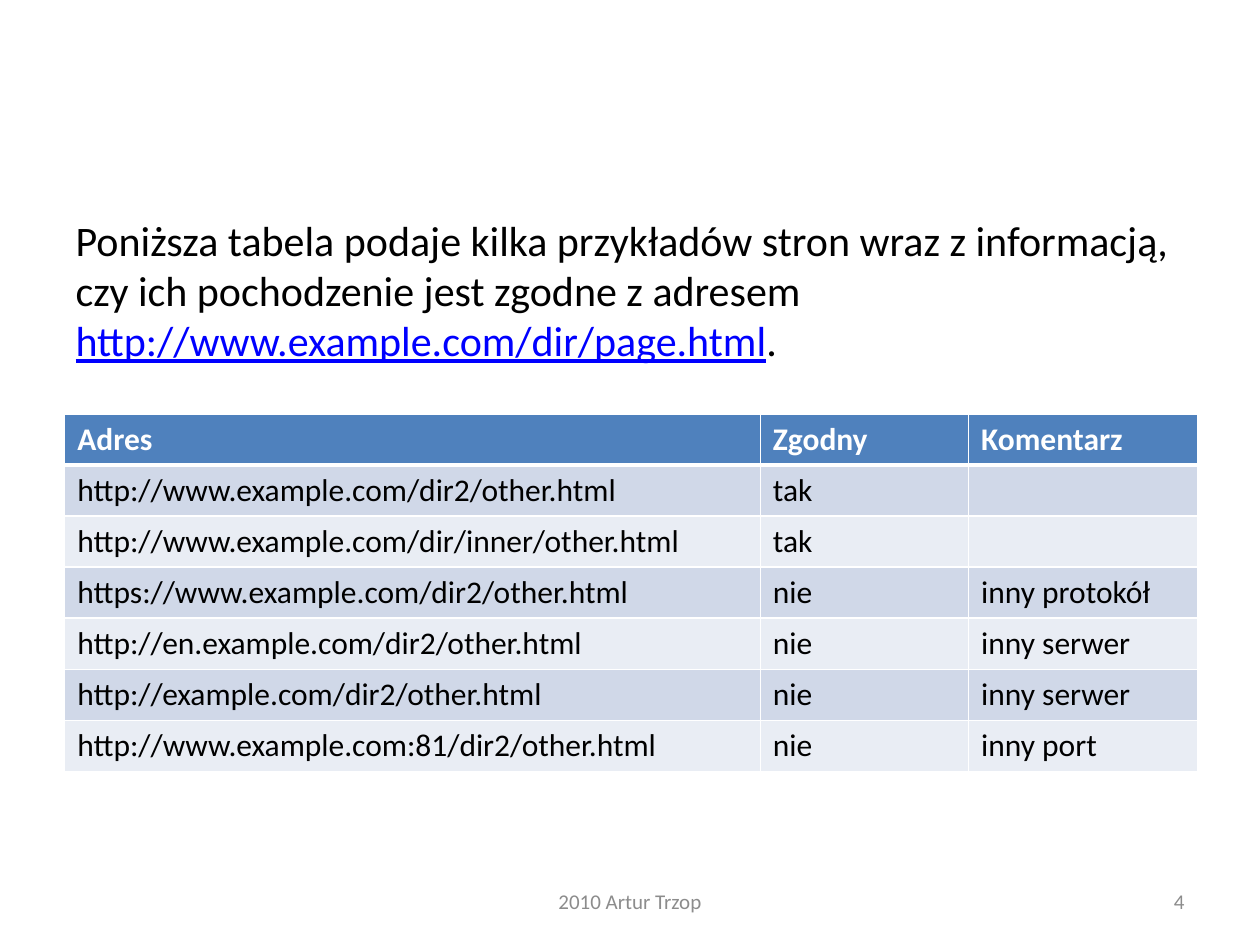
from pptx import Presentation
from pptx.util import Pt
from pptx.dml.color import RGBColor
from pptx.enum.text import PP_ALIGN, MSO_ANCHOR, MSO_AUTO_SIZE
from pptx.oxml import parse_xml
from pptx.oxml.ns import nsdecls

# Content
INTRO = [
    ("Poniższa tabela podaje kilka przykładów stron wraz z informacją, "
     "czy ich pochodzenie jest zgodne z adresem ", False),
    ("http://www.example.com/dir/page.html", True),
    (".", False),
]
ROWS = [
    ("Adres", "Zgodny", "Komentarz"),
    ("http://www.example.com/dir2/other.html", "tak", ""),
    ("http://www.example.com/dir/inner/other.html", "tak", ""),
    ("https://www.example.com/dir2/other.html", "nie", "inny protokół"),
    ("http://en.example.com/dir2/other.html", "nie", "inny serwer"),
    ("http://example.com/dir2/other.html", "nie", "inny serwer"),
    ("http://www.example.com:81/dir2/other.html", "nie", "inny port"),
]
FOOT = [  # text, left, width, alignment
    ("2010 Artur Trzop", 246, 228, PP_ALIGN.CENTER),
    ("4", 516, 168, PP_ALIGN.RIGHT),
]

THEME = dict(
    font="Calibri", ink="000000", link="0000FF", mute="8C8C8C", white="FFFFFF",
    head="4F81BD", bands=("D0D8E8", "E9EDF4"), title=24, cell=18, foot=12,
)

# Places in points
COLS = (397.5, 119, 131)
ROW_H = 29.2
TABLE_X, TABLE_Y = 37, 236.5


def write(par, text, *, size, color, bold=False, line=False, align=PP_ALIGN.LEFT):
    par.alignment = align
    run = par.add_run()
    run.text = text
    font = run.font
    font.name, font.size = THEME["font"], Pt(size)
    font.bold, font.underline = bold, line
    font.color.rgb = RGBColor.from_string(color)


def edge(cell, top, low):
    props = cell._tc.get_or_add_tcPr()
    for side, width in (("L", 1), ("R", 1), ("T", top), ("B", low)):
        props.append(parse_xml(
            f'<a:ln{side} {nsdecls("a")} w="{Pt(width)}"><a:solidFill>'
            f'<a:srgbClr val="{THEME["white"]}"/></a:solidFill></a:ln{side}>'))


def main():
    deck = Presentation()
    deck.slide_width, deck.slide_height = Pt(720), Pt(540)
    slide = deck.slides.add_slide(deck.slide_layouts[5])

    # Intro in the title placeholder
    title = slide.shapes.title
    title.left, title.top, title.width, title.height = Pt(36), Pt(106), Pt(648), Pt(119)
    frame = title.text_frame
    frame.word_wrap, frame.auto_size = True, MSO_AUTO_SIZE.NONE
    frame.vertical_anchor = MSO_ANCHOR.MIDDLE
    for text, link in INTRO:
        write(frame.paragraphs[0], text, size=THEME["title"], line=link,
              color=THEME["link" if link else "ink"])

    # Address table
    table = slide.shapes.add_table(
        len(ROWS), len(COLS), Pt(TABLE_X), Pt(TABLE_Y),
        Pt(sum(COLS)), Pt(ROW_H * len(ROWS))).table
    for col, width in zip(table.columns, COLS):
        col.width = Pt(width)
    for r, row in enumerate(ROWS):
        table.rows[r].height = Pt(ROW_H)
        head = r == 0
        shade = THEME["head"] if head else THEME["bands"][(r - 1) % 2]
        for c, text in enumerate(row):
            cell = table.cell(r, c)
            cell.vertical_anchor = MSO_ANCHOR.MIDDLE
            edge(cell, 3 if r == 1 else 1, 3 if head else 1)
            cell.fill.solid()
            cell.fill.fore_color.rgb = RGBColor.from_string(shade)
            if text:
                write(cell.text_frame.paragraphs[0], text, size=THEME["cell"],
                      color=THEME["white" if head else "ink"], bold=head)

    # Footer and page number
    for text, left, width, align in FOOT:
        frame = slide.shapes.add_textbox(Pt(left), Pt(500.5), Pt(width), Pt(28.8)).text_frame
        frame.word_wrap = True
        frame.vertical_anchor = MSO_ANCHOR.MIDDLE
        write(frame.paragraphs[0], text, size=THEME["foot"],
              color=THEME["mute"], align=align)

    deck.save("out.pptx")


if __name__ == "__main__":
    main()
